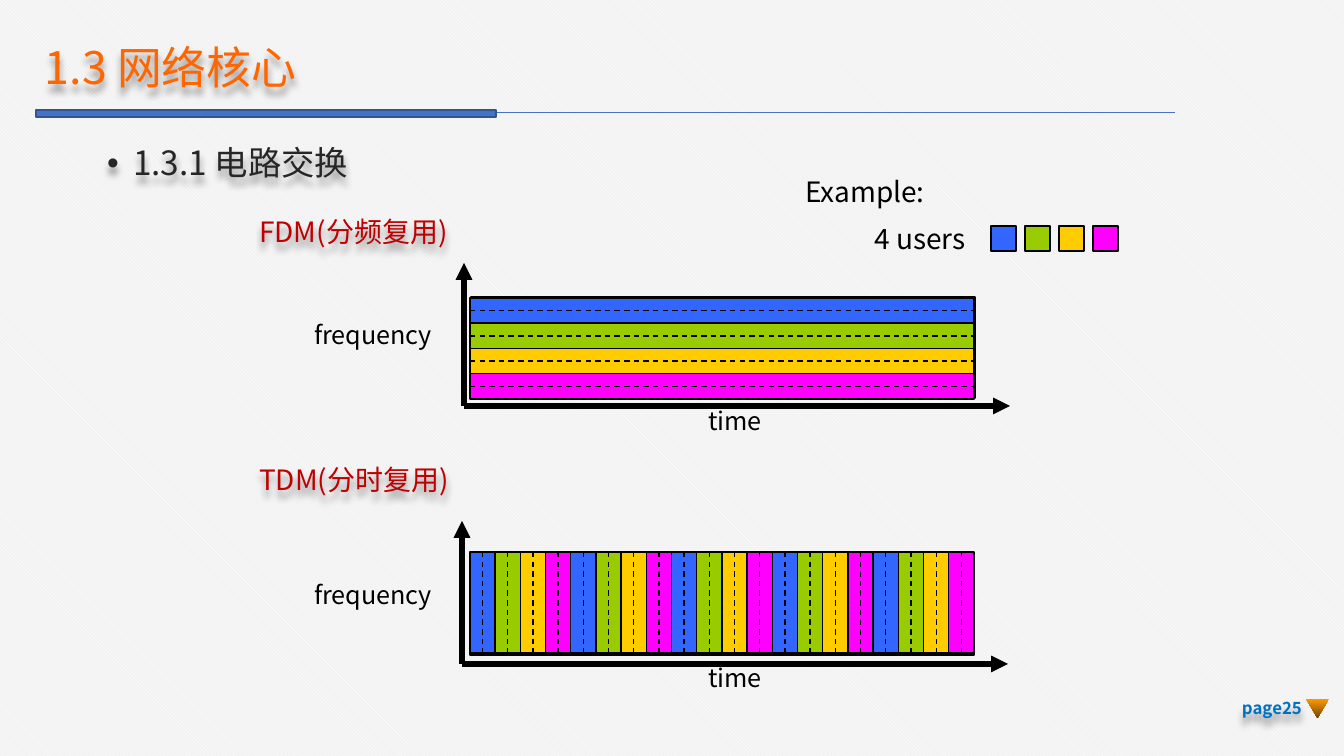
from dataclasses import dataclass
from lxml.etree import SubElement as Sub
from pptx import Presentation
from pptx.dml.color import RGBColor as RGB
from pptx.enum.dml import MSO_LINE as Dash, MSO_PATTERN as Pat
from pptx.enum.shapes import MSO_CONNECTOR as Conn, MSO_SHAPE as Kind
from pptx.enum.text import MSO_ANCHOR as Anchor, MSO_AUTO_SIZE as Auto, PP_ALIGN as Align
from pptx.oxml.ns import qn
from pptx.util import Pt


@dataclass(frozen=True)
class Theme:
    font: str = "Noto Sans CJK SC"
    users: tuple = ("3366FF", "99CC00", "FFCC00", "FF00FF")
    black: str = "000000"
    white: str = "FFFFFF"
    pale: str = "F2F2F2"
    blue: str = "4472C4"
    navy: str = "325491"
    orange: str = "FF6600"
    red: str = "C00000"
    grey: str = "262626"
    sky: str = "0070C0"
    gold: str = "FF9900"
    brown: str = "764700"
    title: float = 24
    topic: float = 17.9
    label: float = 15
    axis: float = 13.5
    page: float = 9


def emu(px):
    return round(px * 9144000 / 1344)


class Deck:
    def __init__(self, theme):
        self.theme = theme
        self.prs = Presentation()
        self.prs.slide_width, self.prs.slide_height = emu(1344), emu(756)
        self.slide = self.prs.slides.add_slide(self.prs.slide_layouts[5])
        fill = self.slide.background.fill
        fill.patterned()
        fill.pattern = Pat.DARK_DOWNWARD_DIAGONAL
        fill.fore_color.rgb = RGB.from_string(theme.white)
        fill.back_color.rgb = RGB.from_string(theme.pale)

    def style(self, par, size, color, bold=False):
        for run in par.runs:
            font = run.font
            font.name, font.size, font.bold = self.theme.font, Pt(size), bold
            font.color.rgb = RGB.from_string(color)
            Sub(font._element, qn("a:ea"), typeface=self.theme.font)

    def shade(self, shape):
        effect = Sub(shape._element.spPr, qn("a:effectLst"))
        outer = Sub(effect, qn("a:outerShdw"), blurRad="50800", dist="50800",
                    dir="5400000", algn="t", rotWithShape="0")
        color = Sub(outer, qn("a:srgbClr"), val=self.theme.black)
        Sub(color, qn("a:alpha"), val="40000")

    def title(self, text, x, y, w, h):
        shape = self.slide.shapes.title
        shape.left, shape.top, shape.width, shape.height = map(emu, (x, y, w, h))
        frame = shape.text_frame
        frame.text = text
        frame.auto_size, frame.vertical_anchor = Auto.NONE, Anchor.MIDDLE
        frame.margin_left = frame.margin_right = emu(9)
        frame.margin_top = frame.margin_bottom = emu(5)
        par = frame.paragraphs[0]
        par.alignment, par.line_spacing = Align.LEFT, 0.9
        self.style(par, self.theme.title, self.theme.orange)
        self.shade(shape)

    def text(self, text, x, y, w, h, size, color=None, wrap=False, shade=False):
        box = self.slide.shapes.add_textbox(*map(emu, (x, y, w, h)))
        frame = box.text_frame
        frame.text, frame.word_wrap = text, wrap
        self.style(frame.paragraphs[0], size, color or self.theme.black)
        if shade:
            self.shade(box)
        return frame

    def topic(self, text, x, y, w, h):
        frame = self.text(text, x, y, w, h, self.theme.topic, self.theme.grey, True, True)
        par = frame.paragraphs[0]
        par.line_spacing = 0.9
        props = par._p.get_or_add_pPr()
        props.set("marL", str(emu(26)))
        props.set("indent", str(emu(-26)))
        Sub(props, qn("a:buFont"), typeface="Arial")
        Sub(props, qn("a:buChar"), char="•")

    def page(self, text, x, y, w, h):
        frame = self.text(text, x, y, w, h, self.theme.page, self.theme.sky, True, True)
        frame.vertical_anchor = Anchor.MIDDLE
        par = frame.paragraphs[0]
        par.alignment = Align.RIGHT
        par.runs[0].font.bold = True

    def rect(self, x, y, w, h, fill, line=None, width=0.75):
        box = self.slide.shapes.add_shape(Kind.RECTANGLE, *map(emu, (x, y, w, h)))
        box.shadow.inherit = False
        box.fill.solid()
        box.fill.fore_color.rgb = RGB.from_string(fill)
        box.line.color.rgb = RGB.from_string(line or self.theme.black)
        box.line.width = Pt(width)

    def mark(self, x, y, w, h):
        shape = self.slide.shapes.add_shape(Kind.FLOWCHART_MERGE, *map(emu, (x, y, w, h)))
        shape.shadow.inherit = False
        shape.line.fill.background()
        shape.fill.gradient()
        shape.fill.gradient_angle = 270
        for stop, color in zip(shape.fill.gradient_stops, (self.theme.gold, self.theme.brown)):
            stop.color.rgb = RGB.from_string(color)

    def line(self, x, y, to_x, to_y, color=None, width=0.75, dash=False, arrow=False):
        link = self.slide.shapes.add_connector(Conn.STRAIGHT, *map(emu, (x, y, to_x, to_y)))
        link.line.color.rgb = RGB.from_string(color or self.theme.black)
        link.line.width = Pt(width)
        if dash:
            link.line.dash_style = Dash.DASH
        if arrow:
            Sub(link.line._get_or_add_ln(), qn("a:tailEnd"), type="triangle")
        Sub(link._element.spPr, qn("a:effectLst"))

    def plot(self, name, name_y, x, y, back, freq_y, time_y):
        self.text(name, 246, name_y, 223, 47, self.theme.label, self.theme.red, True, True)
        self.line(x, y, x, y - 143, width=3, arrow=True)
        self.text("frequency", 301, freq_y, 148, 44, self.theme.axis)
        self.line(x, y, x + 546, y, width=3, arrow=True)
        self.text("time", 695, time_y, 82, 44, self.theme.axis)
        self.rect(*back, self.theme.blue)

    def bands(self, x, y, w, h, count, across):
        step = (w if across else h) / count
        colors = self.theme.users

        def cut(at, dash):
            if across:
                self.line(x + at, y, x + at, y + h, dash=dash)
            else:
                self.line(x, y + at, x + w, y + at, dash=dash)

        for i in range(count):
            place = (x + i * step, y, step, h) if across else (x, y + i * step, w, step)
            self.rect(*place, colors[i % len(colors)])
        for i in range(1, count):
            cut(i * step, False)
        for i in range(count):
            cut((i + 0.5) * step, True)

    def legend(self):
        self.text("4 users", 861, 215, 124, 47, self.theme.label)
        for i, color in enumerate(self.theme.users):
            self.rect(991 + i * 34, 226, 25, 25, color)
        self.text("Example:", 792, 168, 148, 47, self.theme.label)


def main():
    theme = Theme()
    deck = Deck(theme)
    deck.line(1175, 113, 36, 113, theme.blue, 0.5)
    deck.rect(36, 110, 460, 7, theme.blue, theme.navy, 1)
    deck.title("1.3 网络核心", 36, 40, 573, 59)
    deck.plot("FDM(分频复用)", 208, 464, 406, (471, 297, 504, 101), 313, 399)
    deck.bands(470, 298, 504, 101, 4, False)
    deck.plot("TDM(分时复用)", 456, 462, 664, (470, 554, 504, 101), 573, 656)
    deck.bands(470, 552, 504, 101, 20, True)
    deck.legend()
    deck.page("page25", 1222, 688, 93, 40)
    deck.mark(1306, 699, 23, 19)
    deck.topic("1.3.1 电路交换", 94, 140, 378, 51)
    deck.prs.save("out.pptx")


if __name__ == "__main__":
    main()
